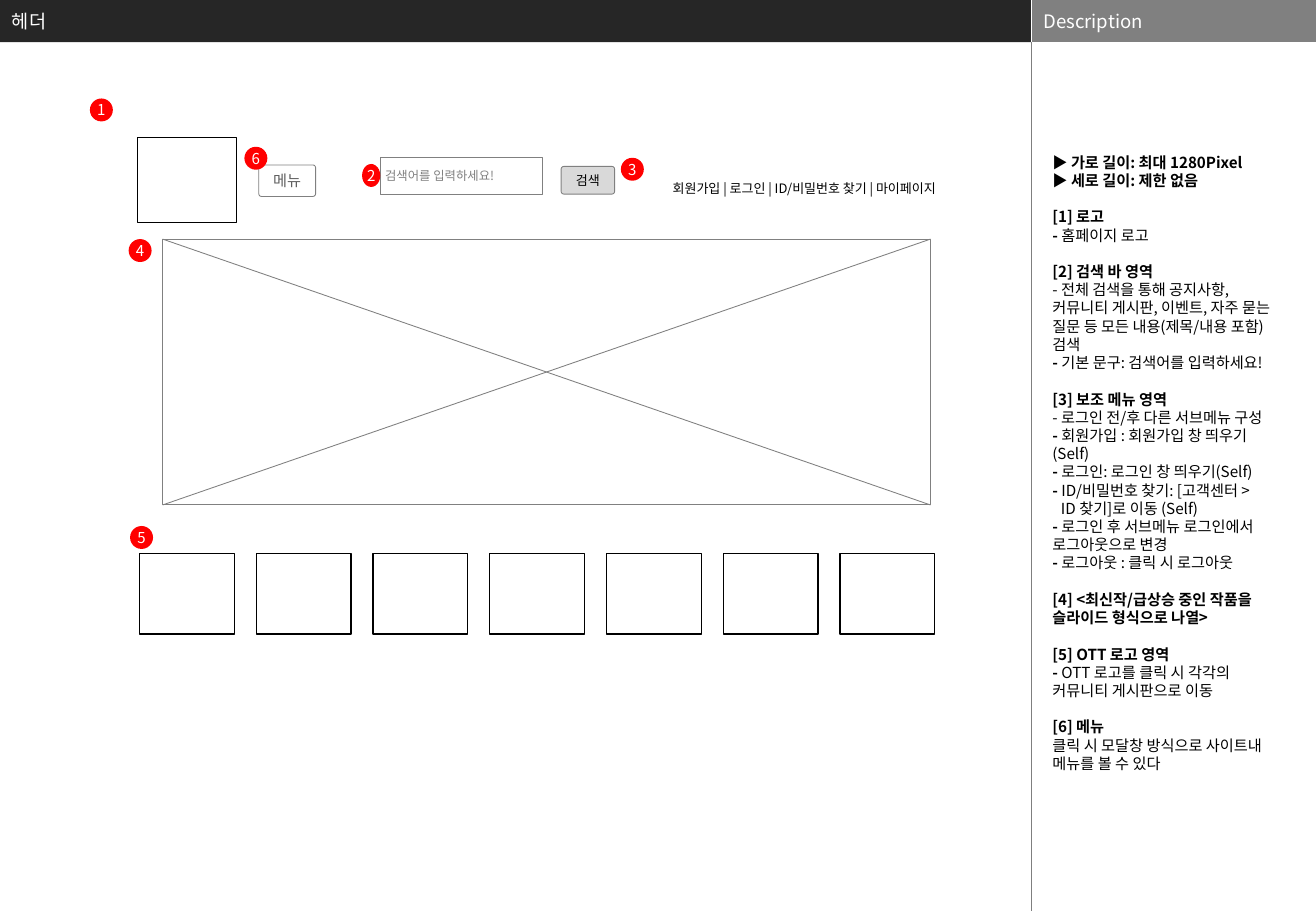
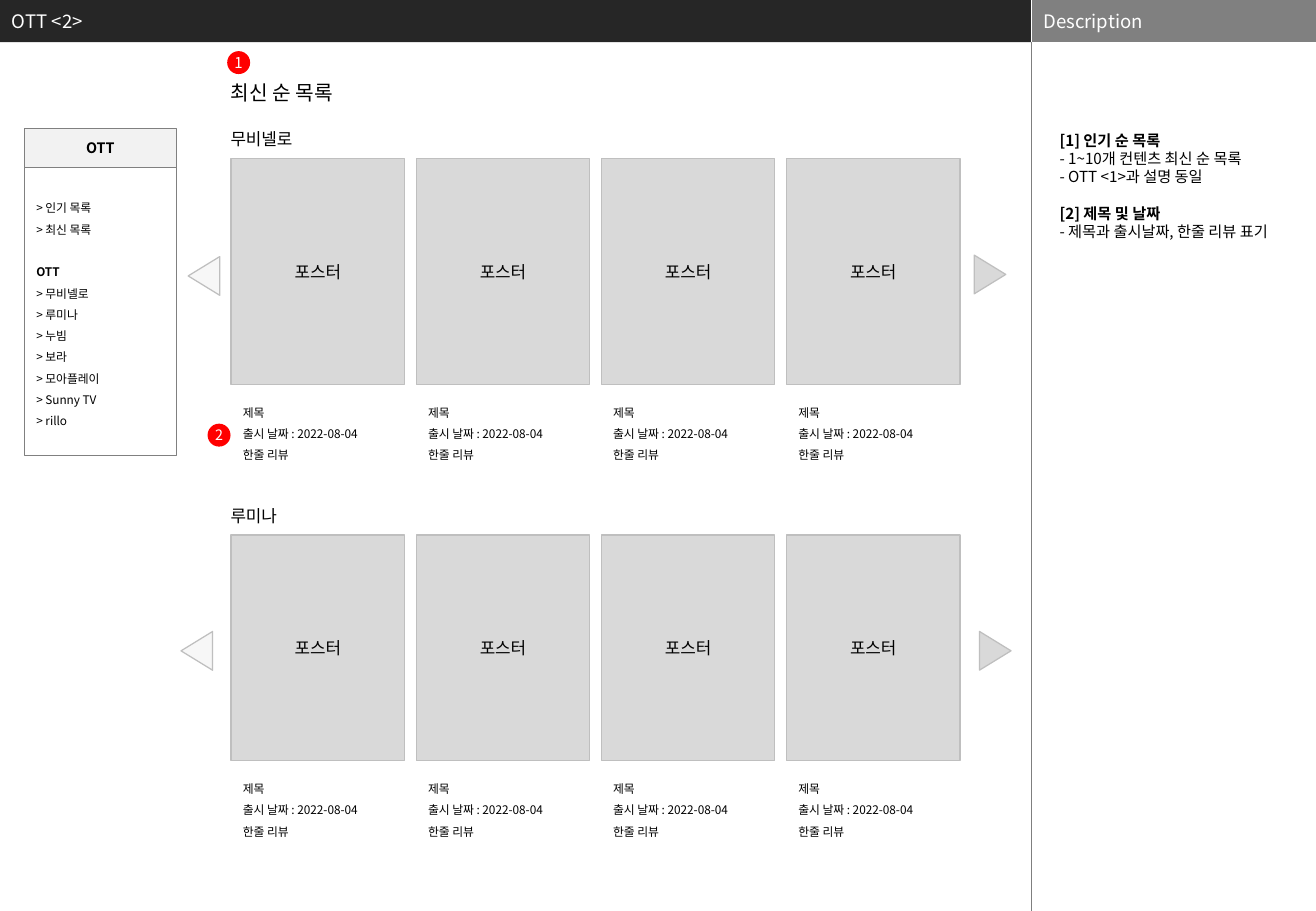
"""Build two wireframe slides for a streaming community site."""
import pptx
import pptx.util
import pptx.dml.color
import pptx.enum.shapes
import pptx.enum.text
import pptx.oxml.ns
from lxml import etree

Cm, Pt = pptx.util.Cm, pptx.util.Pt
KIND = pptx.enum.shapes.MSO_SHAPE
ALIGN = pptx.enum.text.PP_ALIGN
ANCHOR = pptx.enum.text.MSO_ANCHOR
FIT = pptx.enum.text.MSO_AUTO_SIZE
qn = pptx.oxml.ns.qn

HUES = {
    "black": "000000", "white": "FFFFFF", "dark": "262626", "gray": "808080",
    "rule": "7F7F7F", "ink": "5F5F5F", "red": "FF0000", "tile": "D9D9D9",
    "edge": "BFBFBF", "pale": "F2F2F2", "faint": "F7F7F7",
}
WIDE, HIGH, SPLIT, BAR = 27.51, 19.05, 21.56, 0.88

HEADER_NOTES = [
    "*▶ 가로 길이: 최대 1280Pixel*",
    "*▶ 세로 길이: 제한 없음*",
    "^*[1] 로고*",
    "*- *홈페이지 로고",
    "^*[2] 검색 바 영역*",
    "- 전체 검색을 통해 공지사항, 커뮤니티 게시판, 이벤트, 자주 묻는 질문 등 모든 내용(제목/내용 포함) 검색",
    "*- *기본 문구: 검색어를 입력하세요!",
    "^*[3] 보조 메뉴 영역*",
    "- 로그인 전/후 다른 서브메뉴 구성",
    "*- *회원가입 : 회원가입 창 띄우기(Self)",
    "*- *로그인: 로그인 창 띄우기(Self)",
    "*- *ID/비밀번호 찾기: [고객센터 >",
    "~ID 찾기]로 이동 (Self)",
    "*- *로그인 후 서브메뉴 로그인에서 로그아웃으로 변경",
    "*- *로그아웃 : 클릭 시 로그아웃",
    "^*[4] <최신작/급상승 중인 작품을 슬라이드 형식으로 나열>*",
    "^*[5] OTT 로고 영역*",
    "*- *OTT 로고를 클릭 시 각각의 커뮤니티 게시판으로 이동",
    "^*[6] 메뉴*",
    "클릭 시 모달창 방식으로 사이트내 메뉴를 볼 수 있다",
]
LIST_NOTES = [
    "*[1] 인기 순 목록*",
    "- 1~10개 컨텐츠 최신 순 목록",
    "- OTT <1>과 설명 동일",
    "^*[2] 제목 및 날짜*",
    "- 제목과 출시날짜, 한줄 리뷰 표기",
]
BRANDS = ["무비넬로", "루미나", "누빔", "보라", "모아플레이", "Sunny TV", "rillo"]
NAV = ["> 인기 목록", "> 최신 목록", "^*OTT*"] + ["> " + name for name in BRANDS]
CAPTION = ["제목", "출시 날짜 : 2022-08-04", "한줄 리뷰"]


class Deck:
    """Hold the style and the current slide."""

    def __init__(self):
        """Start an empty deck."""
        self.file = pptx.Presentation()
        self.file.slide_width, self.file.slide_height = Cm(WIDE), Cm(HIGH)
        self.slide = None

    def hue(self, name):
        """Return a named colour."""
        return pptx.dml.color.RGBColor.from_string(HUES[name])

    def paint(self, shape, fill=None, line=None, width=0.5):
        """Set fill and outline."""
        if fill:
            shape.fill.solid()
            shape.fill.fore_color.rgb = self.hue(fill)
        else:
            shape.fill.background()
        if line:
            shape.line.color.rgb = self.hue(line)
            shape.line.width = Pt(width)
        else:
            shape.line.fill.background()

    def label(self, shape, lines, size, color="black", align=ALIGN.LEFT,
              anchor=ANCHOR.MIDDLE, inset=(0.25, 0.13), wrap=True, lead=1.2,
              font="Noto Sans CJK KR"):
        """Fill a shape with text: * toggles bold, ^ adds a gap, ~ indents."""
        frame = shape.text_frame
        frame.auto_size, frame.word_wrap = FIT.NONE, wrap
        frame.vertical_anchor = anchor
        frame.margin_left = frame.margin_right = Cm(inset[0])
        frame.margin_top = frame.margin_bottom = Cm(inset[1])
        for i, line in enumerate(lines):
            para = frame.paragraphs[0] if i == 0 else frame.add_paragraph()
            para.alignment = align
            para.line_spacing = Pt(size * lead)
            para.space_before = Pt(size * lead if line[0] == "^" else 0)
            if line[0] == "~":
                para._p.get_or_add_pPr().set("marL", str(Cm(0.18)))
            for j, part in enumerate(line.lstrip("^~").split("*")):
                if not part:
                    continue
                run = para.add_run()
                run.text = part
                run.font.size, run.font.bold = Pt(size), j % 2 == 1
                run.font.name = font
                run.font.color.rgb = self.hue(color)
                east = etree.SubElement(run._r.get_or_add_rPr(), qn("a:ea"))
                east.set("typeface", "Noto Sans CJK KR")

    def shape(self, kind, box, fill=None, line=None, width=0.5, turn=0):
        """Add a preset shape."""
        item = self.slide.shapes.add_shape(kind, *map(Cm, box))
        item.shadow.inherit = False
        item.rotation = turn
        self.paint(item, fill, line, width)
        return item

    def round(self, box, adj, fill=None):
        """Add a gray-edged rounded box."""
        item = self.shape(KIND.ROUNDED_RECTANGLE, box, fill, "gray")
        item.adjustments[0] = adj
        return item

    def text(self, box, lines, size, **style):
        """Add a text box."""
        item = self.slide.shapes.add_textbox(*map(Cm, box))
        self.label(item, lines, size, **{"anchor": ANCHOR.TOP, **style})

    def rule(self, ends, color, width):
        """Add a straight line."""
        kind = pptx.enum.shapes.MSO_CONNECTOR.STRAIGHT
        item = self.slide.shapes.add_connector(kind, *map(Cm, ends))
        item.line.color.rgb = self.hue(color)
        item.line.width = Pt(width)
        etree.SubElement(item._element.spPr, qn("a:effectLst"))

    def dot(self, mark, left, top, wide=0.48, size=8.9):
        """Add a red number marker."""
        item = self.shape(KIND.OVAL, (left, top, wide, 0.48), "red")
        self.label(item, [mark], size, "white", ALIGN.CENTER,
                   inset=(0, 0), wrap=False)

    def arrow(self, left, top, fill, turn):
        """Add a paging triangle."""
        self.shape(KIND.ISOSCELES_TRIANGLE, (left, top, 0.81, 0.66),
                   fill, "edge", 0.75, turn)

    def start(self, title, notes, left, top):
        """Open a slide with its bands, title and notes."""
        self.slide = self.file.slides.add_slide(self.file.slide_layouts[5])
        head = self.slide.shapes.title
        head.left, head.top = Cm(0), Cm(0)
        head.width, head.height = Cm(SPLIT), Cm(BAR)
        self.paint(head, "dark")
        self.label(head, [title], 11, "white")
        side = self.shape(KIND.RECTANGLE, (SPLIT, 0, WIDE - SPLIT, BAR), "gray")
        self.label(side, ["Description"], 11, "white")
        self.rule((SPLIT, 0, SPLIT, BAR), "white", 0.25)
        self.rule((SPLIT, BAR, SPLIT, HIGH), "rule", 0.25)
        self.text((left, top, 4.83, 14.4), notes, 9, inset=(0.08, 0))

    def shelf(self, name, top):
        """Add a named row of four posters with captions."""
        self.text((4.57, top, 8.13, 0.69), [name], 10)
        for i in range(4):
            left = 4.83 + 3.87 * i
            card = self.shape(KIND.RECTANGLE, (left, top + 0.75, 3.63, 4.72),
                              "tile", "edge", 0.75)
            self.label(card, ["포스터"], 10, align=ALIGN.CENTER,
                       inset=(0.1, 0.1), wrap=False)
            self.text((left, top + 5.63, 3.66, 1.55), CAPTION, 7, lead=1.8)


def header(deck):
    """Draw the page header slide."""
    deck.start("헤더", HEADER_NOTES, 21.92, 3.2)
    deck.text((12.9, 3.48, 6.91, 0.69),
              ["회원가입 | 로그인 | ID/비밀번호 찾기 | 마이페이지"], 7.7,
              align=ALIGN.RIGHT, lead=1.8)
    field = deck.shape(KIND.RECTANGLE, (7.95, 3.3, 3.4, 0.76), None, "gray")
    deck.label(field, ["검색어를 입력하세요!"], 7.3, "gray", inset=(0.1, 0.1))
    find = deck.round((11.73, 3.48, 1.12, 0.58), 0.1, "tile")
    deck.label(find, ["검색"], 7.7, align=ALIGN.CENTER, inset=(0.1, 0.1))
    left, top, wide, high = 3.4, 5, 16.05, 5.56
    deck.shape(KIND.RECTANGLE, (left, top, wide, high), "white", "gray")
    deck.rule((left, top + high, left + wide, top), "gray", 0.5)
    deck.rule((left, top, left + wide, top + high), "gray", 0.5)
    tiles = [(2.92 + 2.44 * i, 11.58, 1.98, 1.68) for i in range(7)]
    for box in [(2.87, 2.87, 2.08, 1.78)] + tiles:
        deck.shape(KIND.RECTANGLE, box, "white", "black", 0.75)
    menu = deck.round((5.41, 3.45, 1.19, 0.66), 0.09, "white")
    deck.label(menu, ["메뉴"], 9, "ink", ALIGN.CENTER, wrap=False, font="Karla")
    deck.dot("2", 7.57, 3.43, 0.38)
    for mark, left, top in [("1", 1.88, 2.06), ("3", 12.98, 3.3), ("4", 2.69, 5),
                            ("5", 2.72, 11), ("6", 5.11, 3.07)]:
        deck.dot(mark, left, top)


def listing(deck):
    """Draw the newest titles slide."""
    deck.start("OTT <2>", LIST_NOTES, 22.07, 2.74)
    nav = deck.round((0.51, 3.48, 3.18, 6.05), 0)
    deck.label(nav, NAV, 7, lead=1.8)
    head = deck.round((0.51, 2.69, 3.18, 0.81), 0, "pale")
    deck.label(head, ["*OTT*"], 8.5, align=ALIGN.CENTER)
    deck.text((4.57, 1.55, 6.07, 0.76), ["최신 순 목록"], 12)
    for i in range(2):
        deck.shelf(BRANDS[i], 2.57 + 7.87 * i)
    for left, top, fill, turn in [
            (20.29, 5.41, "tile", 90), (20.4, 13.28, "tile", 90),
            (3.86, 5.44, "faint", 270), (3.71, 13.28, "faint", 270)]:
        deck.arrow(left, top, fill, turn)
    deck.dot("1", 4.75, 1.07)
    deck.dot("2", 4.34, 8.86, size=8.5)


def main():
    """Build and save the deck."""
    deck = Deck()
    header(deck)
    listing(deck)
    deck.file.save("out.pptx")


if __name__ == "__main__":
    main()
